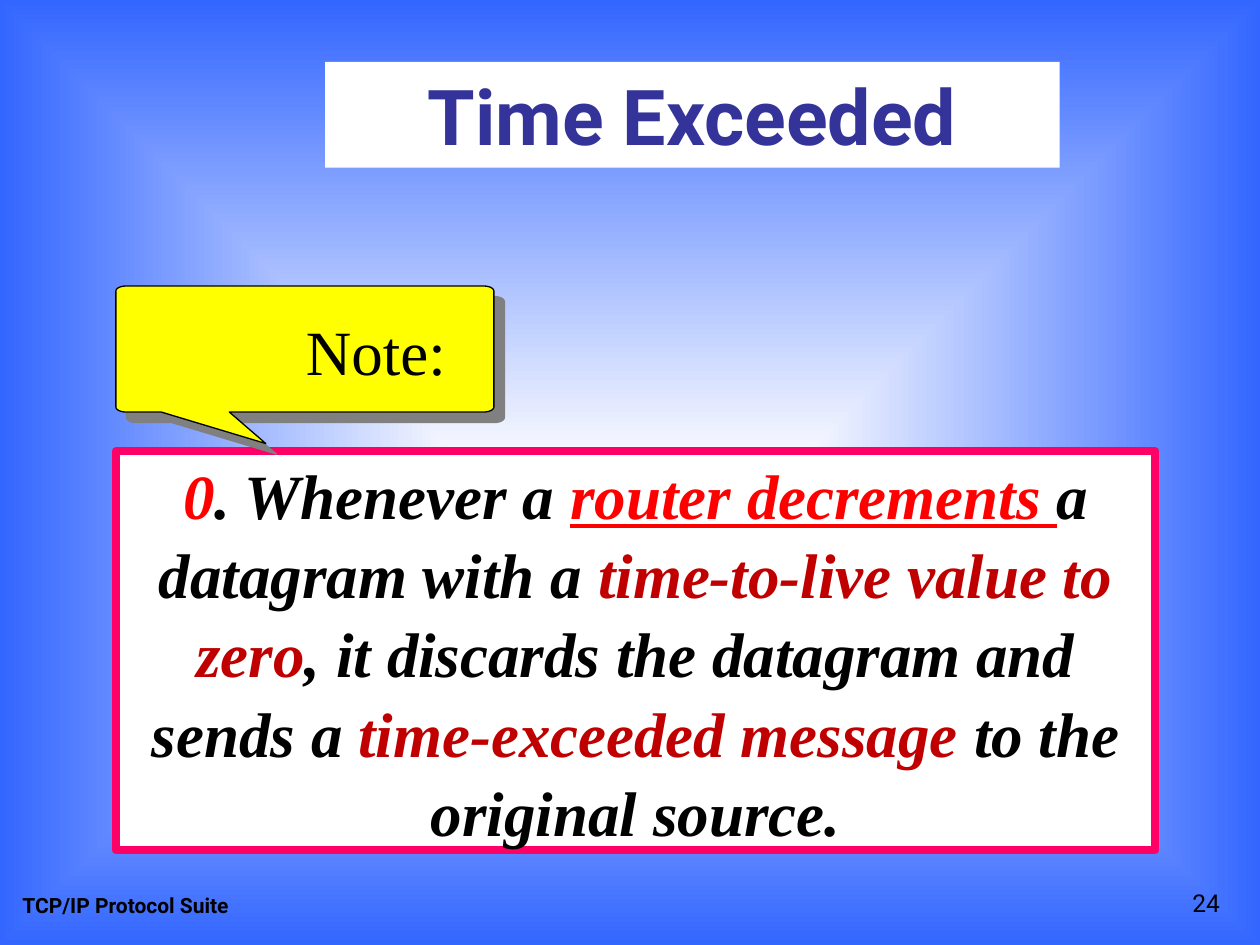
from dataclasses import dataclass
from math import cos, pi, sin

from lxml.etree import SubElement
from pptx import Presentation
from pptx.dml.color import RGBColor
from pptx.enum.shapes import MSO_SHAPE
from pptx.enum.text import MSO_ANCHOR, PP_ALIGN
from pptx.oxml.ns import qn
from pptx.util import Inches, Pt


@dataclass(frozen=True)
class Theme:
    white: str = "FFFFFF"
    blue: str = "3366FF"
    navy: str = "333399"
    black: str = "000000"
    red: str = "FF0000"
    dark_red: str = "C00000"
    pink: str = "FF0066"
    yellow: str = "FFFF00"
    gray: str = "808080"
    sans: str = "Roboto"
    serif: str = "Times New Roman"
    title_size: float = 44
    body_size: float = 36
    number_size: float = 14
    footer_size: float = 12


@dataclass(frozen=True)
class Box:
    left: float
    top: float
    width: float
    height: float

    def lengths(self) -> tuple:
        return tuple(map(Inches, (self.left, self.top, self.width, self.height)))


@dataclass(frozen=True)
class Phrase:
    text: str
    color: str
    underline: bool = False


@dataclass(frozen=True)
class Label:
    text: str
    box: Box
    font: str
    size: float
    bold: bool = False
    align: PP_ALIGN = PP_ALIGN.LEFT
    anchor: MSO_ANCHOR = MSO_ANCHOR.BOTTOM
    wrap: bool = True


THEME = Theme()
TITLE_BOX = Box(2.58, 0.49, 5.83, 0.84)
STATEMENT_BOX = Box(0.92, 3.58, 8.25, 3.17)
CALLOUT_BOX = Box(0.92, 2.27, 3, 1)
CALLOUT_TAIL = [(1.82, 3.27), (2.11, 3.52), (1.28, 3.27)]
CORNER_X, CORNER_Y, CORNER_STEPS = 0.08, 0.04, 6

STATEMENT = [
    Phrase("0", THEME.red),
    Phrase(". Whenever a ", THEME.black),
    Phrase("router decrements ", THEME.red, underline=True),
    Phrase("a datagram with a ", THEME.black),
    Phrase("time-to-live value to zero", THEME.dark_red),
    Phrase(", it discards the datagram and sends a ", THEME.black),
    Phrase("time-exceeded message ", THEME.dark_red),
    Phrase("to the original source.", THEME.black),
]
LABELS = [
    Label("TCP/IP Protocol Suite", Box(0.08, 6.83, 3.17, 0.5), THEME.sans,
          THEME.footer_size, bold=True),
    Label("24", Box(7.7, 6.83, 2.08, 0.5), THEME.sans,
          THEME.number_size, align=PP_ALIGN.RIGHT),
    Label("Note:", Box(2.33, 2.43, 1.31, 0.7), THEME.serif,
          THEME.body_size, anchor=MSO_ANCHOR.TOP, wrap=False),
]


def rgb(color: str) -> RGBColor:
    return RGBColor.from_string(color)


def fill_solid(shape, color: str) -> None:
    shape.fill.solid()
    shape.fill.fore_color.rgb = rgb(color)


def format_run(run, font: str, size: float, color: str,
               bold: bool = False, italic: bool = False) -> None:
    run.font.name = font
    run.font.size = Pt(size)
    run.font.color.rgb = rgb(color)
    run.font.bold = bold
    run.font.italic = italic


def paint_background(slide) -> None:
    fill = slide.background.fill
    fill.gradient()
    for stop, color in zip(fill.gradient_stops, (THEME.white, THEME.blue)):
        stop.color.rgb = rgb(color)
    gradient = slide.background._cSld.find(".//" + qn("a:gradFill"))
    gradient.remove(gradient.find(qn("a:lin")))
    burst = SubElement(gradient, qn("a:path"), {"path": "shape"})
    SubElement(burst, qn("a:fillToRect"), dict.fromkeys("ltrb", "50000"))


def draw_title(slide) -> None:
    title = slide.shapes.title
    title.left, title.top, title.width, title.height = TITLE_BOX.lengths()
    fill_solid(title, THEME.white)
    frame = title.text_frame
    frame.text = "Time Exceeded"
    frame.vertical_anchor = MSO_ANCHOR.MIDDLE
    heading = frame.paragraphs[0]
    heading.alignment = PP_ALIGN.CENTER
    format_run(heading.runs[0], THEME.sans, THEME.title_size, THEME.navy, bold=True)


def draw_label(slide, label: Label) -> None:
    frame = slide.shapes.add_textbox(*label.box.lengths()).text_frame
    frame.text = label.text
    frame.word_wrap = label.wrap
    frame.vertical_anchor = label.anchor
    line = frame.paragraphs[0]
    line.alignment = label.align
    format_run(line.runs[0], label.font, label.size, THEME.black, label.bold)


def draw_statement(slide) -> None:
    panel = slide.shapes.add_shape(MSO_SHAPE.RECTANGLE, *STATEMENT_BOX.lengths())
    panel.shadow.inherit = False
    fill_solid(panel, THEME.white)
    panel.line.color.rgb = rgb(THEME.pink)
    panel.line.width = Pt(4.5)
    frame = panel.text_frame
    frame.word_wrap = True
    frame.vertical_anchor = MSO_ANCHOR.MIDDLE
    sentence = frame.paragraphs[0]
    sentence.alignment = PP_ALIGN.CENTER
    sentence.line_spacing = 1.05
    for phrase in STATEMENT:
        run = sentence.add_run()
        run.text = phrase.text
        format_run(run, THEME.serif, THEME.body_size, phrase.color, bold=True, italic=True)
        run.font.underline = phrase.underline


def corner(center_x: float, center_y: float, start: float) -> list[tuple[float, float]]:
    angles = [start + pi / 2 * step / CORNER_STEPS for step in range(CORNER_STEPS + 1)]
    return [(center_x + CORNER_X * cos(a), center_y + CORNER_Y * sin(a)) for a in angles]


def draw_callout(slide) -> None:
    box = CALLOUT_BOX
    left, right = box.left + CORNER_X, box.left + box.width - CORNER_X
    top, bottom = box.top + CORNER_Y, box.top + box.height - CORNER_Y
    outline = [
        *corner(left, top, pi),
        *corner(right, top, 1.5 * pi),
        *corner(right, bottom, 0),
        *CALLOUT_TAIL,
        *corner(left, bottom, pi / 2),
    ]
    points = [(Inches(x), Inches(y)) for x, y in outline]
    builder = slide.shapes.build_freeform(*points[0])
    builder.add_line_segments(points[1:], close=True)
    callout = builder.convert_to_shape()
    fill_solid(callout, THEME.yellow)
    callout.line.color.rgb = rgb(THEME.black)
    callout.line.width = Pt(0.75)
    callout.shadow.inherit = False
    effects = callout._element.spPr.find(qn("a:effectLst"))
    shadow = SubElement(effects, qn("a:outerShdw"), {
        "dist": str(Pt(8.5)), "dir": str(45 * 60000),
        "algn": "ctr", "rotWithShape": "0",
    })
    SubElement(shadow, qn("a:srgbClr"), {"val": THEME.gray})


def main() -> None:
    presentation = Presentation()
    presentation.slide_width = Inches(10)
    presentation.slide_height = Inches(7.5)
    slide = presentation.slides.add_slide(presentation.slide_layouts[5])
    paint_background(slide)
    draw_title(slide)
    draw_statement(slide)
    draw_callout(slide)
    for label in LABELS:
        draw_label(slide, label)
    presentation.save("out.pptx")


if __name__ == "__main__":
    main()
